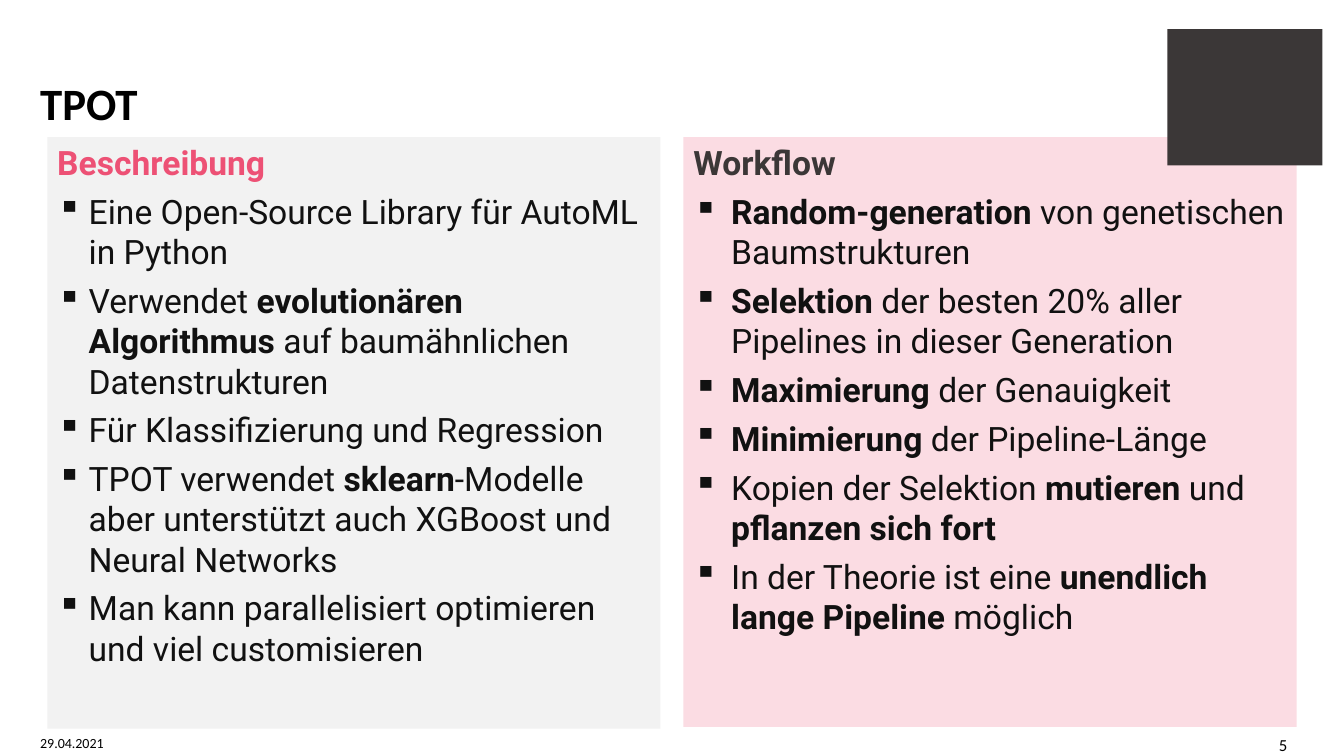
from lxml.etree import SubElement
from pptx import Presentation
from pptx.dml.color import RGBColor
from pptx.enum.shapes import MSO_SHAPE
from pptx.enum.text import MSO_ANCHOR, PP_ALIGN
from pptx.oxml.ns import qn
from pptx.util import Pt

TEXT_COLOR = "111111"
DARK = "3B3737"
PANEL_TOP = 98
PANEL_WIDTH = 438

DESCRIPTION = [
    "Eine Open-Source Library für AutoML in Python",
    "Verwendet **evolutionären Algorithmus** auf baumähnlichen Datenstrukturen",
    "Für Klassifizierung und Regression",
    "TPOT verwendet **sklearn**-Modelle aber unterstützt auch XGBoost und Neural Networks",
    "Man kann parallelisiert optimieren und viel customisieren",
]
WORKFLOW = [
    "**Random-generation** von genetischen Baumstrukturen",
    "**Selektion** der besten 20% aller Pipelines in dieser Generation",
    "**Maximierung** der Genauigkeit",
    "**Minimierung** der Pipeline-Länge",
    "Kopien der Selektion **mutieren** und **pflanzen sich fort**",
    "In der Theorie ist eine **unendlich lange Pipeline** möglich",
]


def color(value):
    return RGBColor.from_string(value)


def set_attributes(target, values):
    for name, value in values.items():
        setattr(target, name, value)


def add_run(paragraph, text, size, font, font_color, bold=False):
    run = paragraph.add_run()
    run.text = text
    set_attributes(run.font, {"size": Pt(size), "name": font, "bold": bold})
    run.font.color.rgb = color(font_color)


def add_label(slide, box, text, size, bold=False, anchor=MSO_ANCHOR.TOP, **paragraph_format):
    frame = slide.shapes.add_textbox(*map(Pt, box)).text_frame
    set_attributes(frame, {"word_wrap": True, "vertical_anchor": anchor})
    paragraph = frame.paragraphs[0]
    set_attributes(paragraph, paragraph_format)
    add_run(paragraph, text, size, "Calibri", "000000", bold)


def add_block(slide, box, fill):
    shape = slide.shapes.add_shape(MSO_SHAPE.RECTANGLE, *map(Pt, box))
    shape.shadow.inherit = False
    shape.fill.solid()
    shape.fill.fore_color.rgb = color(fill)
    shape.line.fill.background()
    return shape


def add_bullet(paragraph, indent):
    properties = paragraph._p.get_or_add_pPr()
    properties.set("marL", str(Pt(indent)))
    properties.set("indent", str(-Pt(indent)))
    bullet_color = SubElement(properties, qn("a:buClr"))
    SubElement(bullet_color, qn("a:srgbClr"), val=TEXT_COLOR)
    SubElement(properties, qn("a:buChar"), char="▪")


def add_panel(slide, box, fill, heading, heading_color, items, indent):
    """Draw a filled panel with a heading and bullets; ** encloses bold text."""
    frame = add_block(slide, box, fill).text_frame
    set_attributes(frame, {"word_wrap": True, "vertical_anchor": MSO_ANCHOR.TOP})
    paragraph_format = {"alignment": PP_ALIGN.LEFT, "space_after": Pt(6)}
    paragraph = frame.paragraphs[0]
    set_attributes(paragraph, paragraph_format)
    add_run(paragraph, heading, 24, "Roboto", heading_color, bold=True)
    for item in items:
        paragraph = frame.add_paragraph()
        set_attributes(paragraph, paragraph_format)
        add_bullet(paragraph, indent)
        for index, part in enumerate(item.split("**")):
            if part:
                add_run(paragraph, part, 24, "Roboto", TEXT_COLOR, bold=index % 2 == 1)


def main():
    presentation = Presentation()
    set_attributes(presentation, {"slide_width": Pt(960), "slide_height": Pt(540)})
    slide = presentation.slides.add_slide(presentation.slide_layouts[6])

    add_label(slide, (21.6, 53.3, 904.3, 44.6), "TPOT", 32, bold=True,
              anchor=MSO_ANCHOR.MIDDLE, line_spacing=0.9)
    add_label(slide, (21.6, 521.3, 216, 14.4), "29.04.2021", 10)
    add_label(slide, (678.2, 521.3, 248.4, 14.4), "5", 12, alignment=PP_ALIGN.RIGHT)

    add_panel(slide, (33.8, PANEL_TOP, PANEL_WIDTH, 422.6), "F2F2F2",
              "Beschreibung", "ED5175", DESCRIPTION, indent=22.5)
    add_panel(slide, (488.2, PANEL_TOP, PANEL_WIDTH, 421.2), "FBDCE3",
              "Workflow", DARK, WORKFLOW, indent=27)
    add_block(slide, (833.8, 20.9, 110.9, 97.2), DARK)

    presentation.save("out.pptx")


if __name__ == "__main__":
    main()
